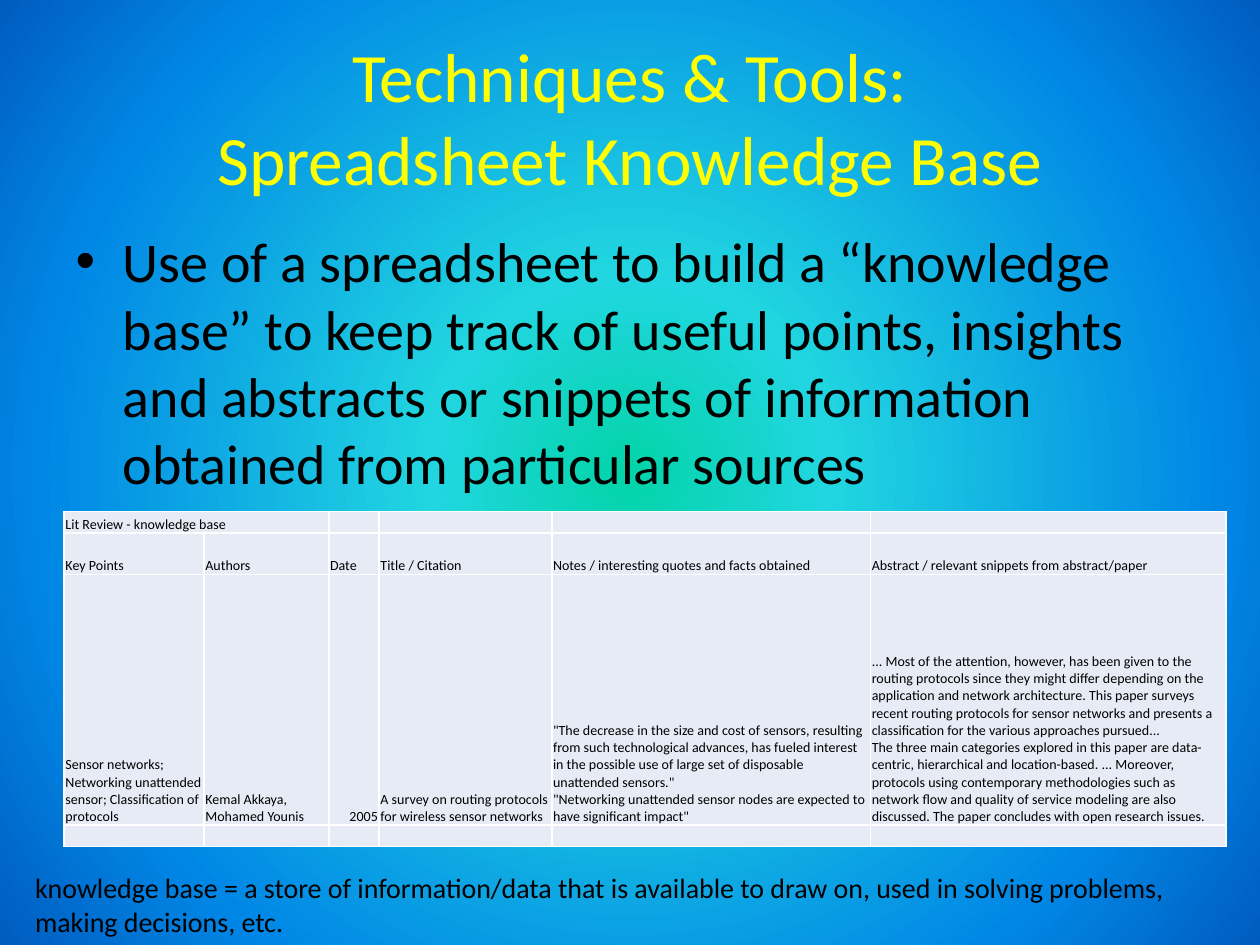
from pptx import Presentation
from pptx.dml.color import RGBColor
from pptx.enum.text import MSO_ANCHOR, MSO_AUTO_SIZE, PP_ALIGN
from pptx.oxml import parse_xml
from pptx.oxml.ns import nsdecls
from pptx.util import Inches, Pt

COLORS = {"title": "FFFF00", "text": "000000", "cell": "E7EBF5"}
GRADIENT = {0: "03D4A8", 25: "21D6E0", 75: "0087E6", 100: "005CBF"}

TITLE = "Techniques & Tools:\vSpreadsheet Knowledge Base"
BODY = (
    "Use of a spreadsheet to build a “knowledge base” to keep track of useful points, "
    "insights and abstracts or snippets of information obtained from particular sources"
)
FOOTNOTE = (
    "knowledge base = a store of information/data that is available to draw on, "
    "used in solving problems, making decisions, etc."
)
COL_WIDTHS = [1.11, 0.99, 0.4, 1.37, 2.53, 2.82]
ROW_HEIGHTS = [0.17, 0.33, 1.99, 0.17]
ROWS = [
    ["Lit Review - knowledge base", "", "", "", "", ""],
    [
        "Key Points",
        "Authors",
        "Date",
        "Title / Citation",
        "Notes / interesting quotes and facts obtained",
        "Abstract / relevant snippets from abstract/paper",
    ],
    [
        "Sensor networks;\vNetworking unattended sensor; Classification of protocols",
        "Kemal Akkaya, Mohamed Younis",
        "2005",
        "A survey on routing protocols for wireless sensor networks",
        '"The decrease in the size and cost of sensors, resulting from such technological '
        "advances, has fueled interest in the possible use of large set of disposable "
        'unattended sensors." \v"Networking unattended sensor nodes are expected to have '
        'significant impact"',
        "... Most of the attention, however, has been given to the routing protocols since "
        "they might differ depending on the application and network architecture. This paper "
        "surveys recent routing protocols for sensor networks and presents a classification "
        "for the various approaches pursued...\vThe three main categories explored in this "
        "paper are data-centric, hierarchical and location-based. ... Moreover, protocols "
        "using contemporary methodologies such as network flow and quality of service "
        "modeling are also discussed. The paper concludes with open research issues.",
    ],
    [""] * 6,
]


class Deck:
    font = "Calibri"

    def __init__(self, width, height):
        self.prs = Presentation()
        self.prs.slide_width, self.prs.slide_height = Inches(width), Inches(height)
        self.slide = self.prs.slides.add_slide(self.prs.slide_layouts[1])

    def background(self, stops):
        gs = "".join(
            f'<a:gs pos="{pos * 1000}"><a:srgbClr val="{color}"/></a:gs>'
            for pos, color in stops.items()
        )
        bg = parse_xml(
            f'<p:bg {nsdecls("p", "a")}><p:bgPr><a:gradFill rotWithShape="1">'
            f'<a:gsLst>{gs}</a:gsLst><a:path path="circle">'
            '<a:fillToRect l="50000" t="50000" r="50000" b="50000"/></a:path>'
            "</a:gradFill><a:effectLst/></p:bgPr></p:bg>"
        )
        self.slide.element.cSld.insert(0, bg)

    def set_text(self, tf, text, size, color="text", align=None):
        p = tf.paragraphs[0]
        p.text = text
        p.alignment = align
        for r in p.runs:
            for name, value in {"name": self.font, "size": Pt(size)}.items():
                setattr(r.font, name, value)
            r.font.color.rgb = RGBColor.from_string(COLORS[color])

    def placeholder(self, idx, text, box, size, **style):
        sp = self.slide.placeholders[idx]
        for name, value in zip(("left", "top", "width", "height"), box):
            setattr(sp, name, Inches(value))
        sp.text_frame.auto_size = MSO_AUTO_SIZE.NONE
        self.set_text(sp.text_frame, text, size, **style)

    def textbox(self, text, box, size):
        tf = self.slide.shapes.add_textbox(*map(Inches, box)).text_frame
        tf.word_wrap = True
        self.set_text(tf, text, size)

    def cell(self, cell, text, size, align):
        margin = Inches(0.01)
        values = {
            "margin_left": margin,
            "margin_top": margin,
            "margin_right": margin,
            "margin_bottom": 0,
            "vertical_anchor": MSO_ANCHOR.BOTTOM,
        }
        for name, value in values.items():
            setattr(cell, name, value)
        cell.fill.solid()
        cell.fill.fore_color.rgb = RGBColor.from_string(COLORS["cell"])
        self.set_text(cell.text_frame, text, size, align=align)
        if not text:
            end = parse_xml(f'<a:endParaRPr {nsdecls("a")} sz="{size * 100}"/>')
            cell.text_frame.paragraphs[0]._p.append(end)

    def table(self, rows, left, top, widths, heights, size):
        box = map(Inches, (left, top, sum(widths), sum(heights)))
        table = self.slide.shapes.add_table(len(rows), len(widths), *box).table
        table.first_row = table.horz_banding = False
        for column, width in zip(table.columns, widths):
            column.width = Inches(width)
        for i, (row, height) in enumerate(zip(rows, heights)):
            table.rows[i].height = Inches(height)
            for j, text in enumerate(row):
                align = PP_ALIGN.RIGHT if text.isdigit() else None
                self.cell(table.cell(i, j), text, size, align)
        table.cell(0, 0).merge(table.cell(0, 1))


def main():
    deck = Deck(10, 7.5)
    deck.background(GRADIENT)
    deck.placeholder(0, TITLE, (0.5, 0.3, 9, 1.25), 39.6, color="title", align=PP_ALIGN.CENTER)
    deck.placeholder(1, BODY, (0.5, 1.75, 9, 4.95), 32)
    deck.table(ROWS, 0.51, 4.06, COL_WIDTHS, ROW_HEIGHTS, 8)
    deck.textbox(FOOTNOTE, (0.18, 6.86, 9.45, 0.64), 16)
    deck.prs.save("out.pptx")


if __name__ == "__main__":
    main()
